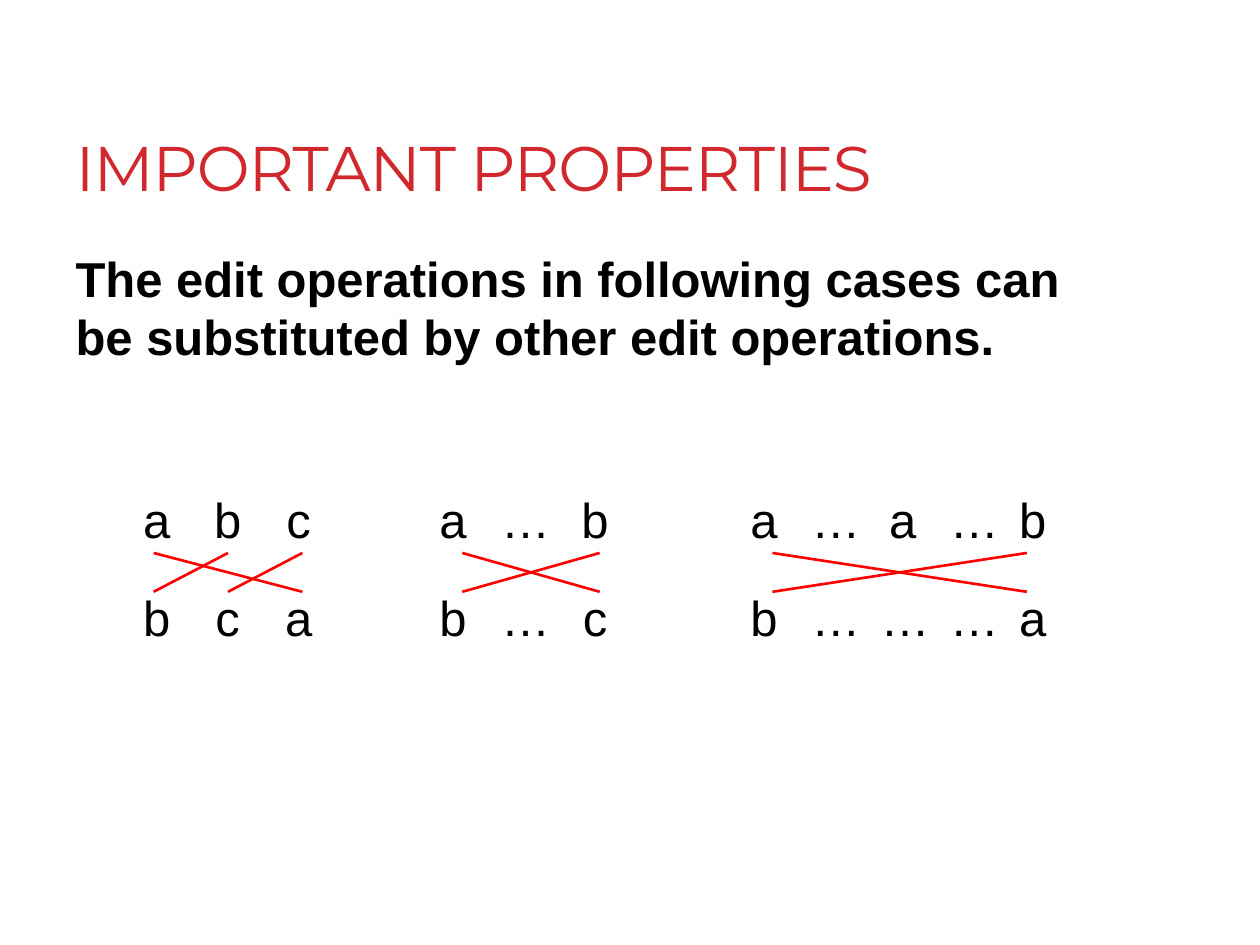
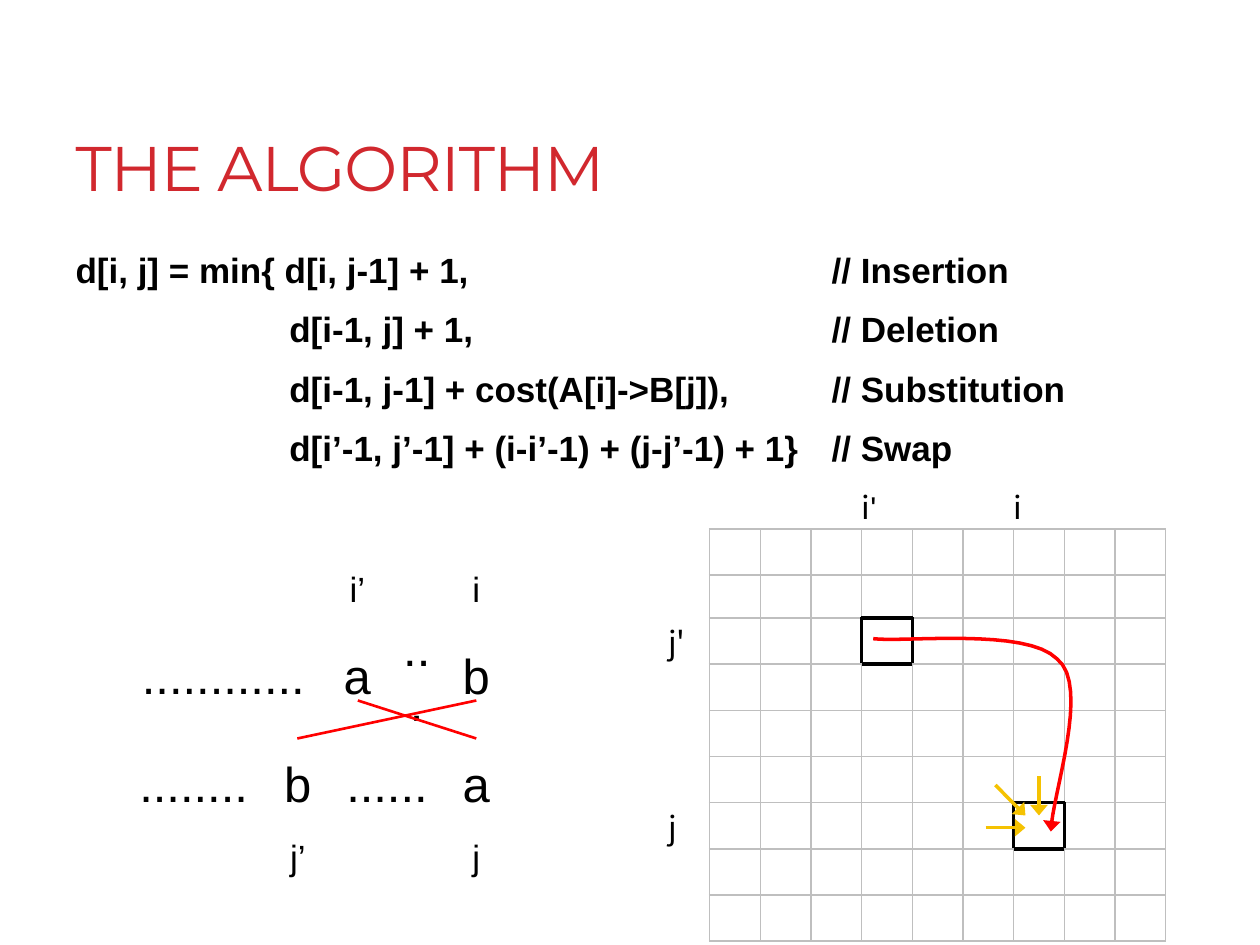
from pptx import Presentation
from pptx.dml.color import RGBColor
from pptx.enum.shapes import MSO_CONNECTOR
from pptx.enum.text import MSO_ANCHOR, MSO_AUTO_SIZE, PP_ALIGN
from pptx.oxml.ns import qn
from pptx.util import Pt
from lxml import etree

STRAIGHT = MSO_CONNECTOR.STRAIGHT
TOP, MIDDLE, BOTTOM = MSO_ANCHOR.TOP, MSO_ANCHOR.MIDDLE, MSO_ANCHOR.BOTTOM
LEFT, CENTER = PP_ALIGN.LEFT, PP_ALIGN.CENTER
NO_AUTOFIT = MSO_AUTO_SIZE.NONE

# Shared look
BLACK, CRIMSON, RED, GOLD, GRAY = "000000", "D1282E", "FF0000", "F5C201", "BFBFBF"
TEXT_FONT, TITLE_FONT, INDEX_FONT = "Arial", "Montserrat", "Noto Sans CJK KR"
PLAIN_TABLE = "{2D5ABB26-0587-4C30-8999-92F81FD0307C}"
TITLE_FRAME = {"word_wrap": True, "auto_size": NO_AUTOFIT, "vertical_anchor": BOTTOM}
BODY_FRAME = {"word_wrap": True, "auto_size": NO_AUTOFIT, "vertical_anchor": TOP}
BODY_PARA = {"alignment": LEFT, "line_spacing": 1.0, "space_after": Pt(6)}
BODY_TOP = 138.2


def color(hex_text):
    return RGBColor.from_string(hex_text)


def apply(target, values):
    for name, value in values.items():
        setattr(target, name, value)


def add_span(para, text, size, font=TEXT_FONT, ink=BLACK, bold=False):
    span = para.add_run()
    span.text = text
    apply(span.font, {"size": Pt(size), "name": font, "bold": bold})
    span.font.color.rgb = color(ink)
    return span


def place(box, left, top, width, height):
    apply(box, {"left": Pt(left), "top": Pt(top),
                "width": Pt(width), "height": Pt(height)})


# Title, body and comments
def add_title(page, text, width):
    box = page.shapes.title
    place(box, 36, 12.2, width, 108)
    apply(box.text_frame, TITLE_FRAME)
    para = box.text_frame.paragraphs[0]
    para.alignment = LEFT
    span = add_span(para, text, 36, TITLE_FONT, CRIMSON)
    span._r.get_or_add_rPr().set("spc", "-60")


def fill_lines(frame, lines, size):
    apply(frame, BODY_FRAME)
    for index, line in enumerate(lines):
        para = frame.add_paragraph() if index else frame.paragraphs[0]
        apply(para, BODY_PARA)
        para.space_before = Pt(size * 0.2 if index else 0)
        props = para._p.get_or_add_pPr()
        props.set("marL", "0")
        props.set("indent", "0")
        etree.SubElement(props, qn("a:buNone"))
        add_span(para, line, size, bold=True)


def add_body(page, lines, size, height):
    box = page.placeholders[1]
    place(box, 36, BODY_TOP, 600, height)
    fill_lines(box.text_frame, lines, size)


def add_comments(page, lines, size, height):
    box = page.shapes.add_textbox(Pt(468.2), Pt(BODY_TOP), Pt(167.8), Pt(height))
    fill_lines(box.text_frame, lines, size)


# Tables
def add_plain_table(page, left, top, widths, heights):
    frame = page.shapes.add_table(len(heights), len(widths), Pt(left), Pt(top),
                                  Pt(sum(widths)), Pt(sum(heights)))
    table = frame.table
    apply(table, {"first_row": False, "horz_banding": False})
    table._tbl.tblPr.find(qn("a:tableStyleId")).text = PLAIN_TABLE
    for column, width in zip(table.columns, widths):
        column.width = Pt(width)
    for row, height in zip(table.rows, heights):
        row.height = Pt(height)
    for cell in table.iter_cells():
        cell.fill.background()
    return table


def write_cell(cell, text, size=28, anchor=MIDDLE):
    cell.vertical_anchor = anchor
    para = cell.text_frame.paragraphs[0]
    para.alignment = CENTER
    add_span(para, text, size)


def add_letter_table(page, left, widths, rows):
    table = add_plain_table(page, left, 270, widths, [56] * len(rows))
    for r, row in enumerate(rows):
        for c, letter in enumerate(row):
            write_cell(table.cell(r, c), letter)


def add_swap_table(page):
    table = add_plain_table(page, 68.2, 298.4, [85] + [34] * 4, [53.8] * 4)
    for r, c in [(0, 0), (1, 0), (2, 2), (3, 2)]:
        table.cell(r, c).merge(table.cell(r, c + 1))
    rows = [
        ({2: "i’", 4: "i"}, 20, BOTTOM),
        ({0: "............", 2: "a", 3: "...", 4: "b"}, 28, MIDDLE),
        ({0: "........", 1: "b", 2: "......", 4: "a"}, 28, MIDDLE),
        ({1: "j’", 4: "j"}, 20, TOP),
    ]
    for r, (texts, size, anchor) in enumerate(rows):
        for c, text in texts.items():
            write_cell(table.cell(r, c), text, size, anchor)


def add_border(cell, side, ink, width):
    props = cell._tc.get_or_add_tcPr()
    line = etree.Element(qn("a:ln" + side), w=str(Pt(width)))
    fill = etree.SubElement(line, qn("a:solidFill"))
    etree.SubElement(fill, qn("a:srgbClr"), val=ink)
    props.insert(len(props.findall("*")) - 1, line)  # before the fill


def add_matrix(page):
    marked = {(3, 4), (7, 7)}
    heights = [26.4] * 10
    heights[2] = 24.5
    table = add_plain_table(page, 376.6, 275.8, [28.95] * 10, heights)
    sides = {"L": (0, -1), "R": (0, 1), "T": (-1, 0), "B": (1, 0)}
    for r in range(10):
        for c in range(10):
            cell = table.cell(r, c)
            apply(cell, {"margin_left": 0, "margin_right": 0, "margin_top": 0,
                         "margin_bottom": 0, "vertical_anchor": MIDDLE})
            for side, (down, right) in sides.items():
                pair = [(r, c), (r + down, c + right)]
                if marked.intersection(pair):
                    add_border(cell, side, BLACK, 2.25)
                elif any(1 <= y <= 9 and 1 <= x <= 9 for y, x in pair):
                    add_border(cell, side, GRAY, 1)
    labels = {
        (0, 4): [("i", INDEX_FONT), ("'", TEXT_FONT)],
        (0, 7): [("i", INDEX_FONT)],
        (3, 0): [("j'", INDEX_FONT)],
        (7, 0): [("j", INDEX_FONT)],
    }
    for (r, c), spans in labels.items():
        cell = table.cell(r, c)
        cell.margin_left = Pt(0 if c else 5.3)
        for text, font in spans:
            add_span(cell.text_frame.paragraphs[0], text, 18, font)


# Lines and arrows
def style_line(shape, ink, width, arrow):
    shape.line.color.rgb = color(ink)
    shape.line.width = Pt(width)
    if arrow:
        etree.SubElement(shape.line._get_or_add_ln(), qn("a:tailEnd"),
                         type="triangle", w="lg", len="med")


def add_line(page, x1, y1, x2, y2, ink=RED, width=1.5, arrow=False):
    line = page.shapes.add_connector(STRAIGHT, Pt(x1), Pt(y1), Pt(x2), Pt(y2))
    style_line(line, ink, width, arrow)
    etree.SubElement(line._element.spPr, qn("a:effectLst"))


def bezier(points, steps=16):
    for step in range(1, steps + 1):
        t = step / steps
        weights = ((1 - t) ** 3, 3 * t * (1 - t) ** 2, 3 * t * t * (1 - t), t ** 3)
        yield tuple(Pt(sum(w * p[axis] for w, p in zip(weights, points)))
                    for axis in (0, 1))


def add_curved_arrow(page, points):
    builder = page.shapes.build_freeform(Pt(points[0][0]), Pt(points[0][1]))
    for start in range(0, len(points) - 1, 3):
        builder.add_line_segments(list(bezier(points[start:start + 4])), close=False)
    curve = builder.convert_to_shape()
    curve.shadow.inherit = False
    curve.fill.background()
    style_line(curve, RED, 2, True)


# Slides
def build_properties(page):
    add_title(page, "IMPORTANT PROPERTIES", 522.7)
    add_body(page, ["The edit operations in following cases can be substituted "
                    "by other edit operations."], 28, 86.4)
    add_letter_table(page, 416.8, [39.6] * 4 + [22.5], ["a…a…b", "b………a"])
    add_letter_table(page, 238.5, [40.6] * 3, ["a…b", "b…c"])
    add_letter_table(page, 69.2, [40.6] * 3, ["abc", "bca"])
    upper, lower = 316, 338.2
    links = [(87.8, 172.8), (130.3, 87.8), (172.8, 130.3),
             (264.2, 342.7), (342.7, 264.2), (441.4, 586.8), (586.8, 441.4)]
    for above, below in links:
        add_line(page, above, upper, below, lower)


def build_algorithm(page):
    add_title(page, "THE ALGORITHM", 455.8)
    add_body(page, ["d[i, j] = min{ d[i, j-1] + 1,",
                    "                      d[i-1, j] + 1,",
                    "                      d[i-1, j-1] + cost(A[i]->B[j]),",
                    "                      d[i’-1, j’-1] + (i-i’-1) + (j-j’-1) + 1}"],
             20, 137.5)
    add_comments(page, ["// Insertion", "// Deletion", "// Substitution", "// Swap"],
                 20, 137.5)
    add_matrix(page)
    for ends in [(593.7, 443.5, 593.7, 466), (563.3, 473, 586, 473),
                 (568.8, 448.6, 586, 466)]:
        add_line(page, *ends, GOLD, 2, True)
    add_curved_arrow(page, [(499, 365), (516.2, 367.2), (586.8, 358.6),
                            (604.1, 376.6), (623.5, 391.7), (601.2, 454.3),
                            (600.5, 475.2)])
    add_swap_table(page)
    for above, below in [(204.5, 272.2), (272.2, 169.9)]:
        add_line(page, above, 400.3, below, 422)


def main():
    deck = Presentation()
    apply(deck, {"slide_width": Pt(720), "slide_height": Pt(540)})
    for build in (build_properties, build_algorithm):
        build(deck.slides.add_slide(deck.slide_layouts[1]))
    deck.save("out.pptx")


if __name__ == "__main__":
    main()
